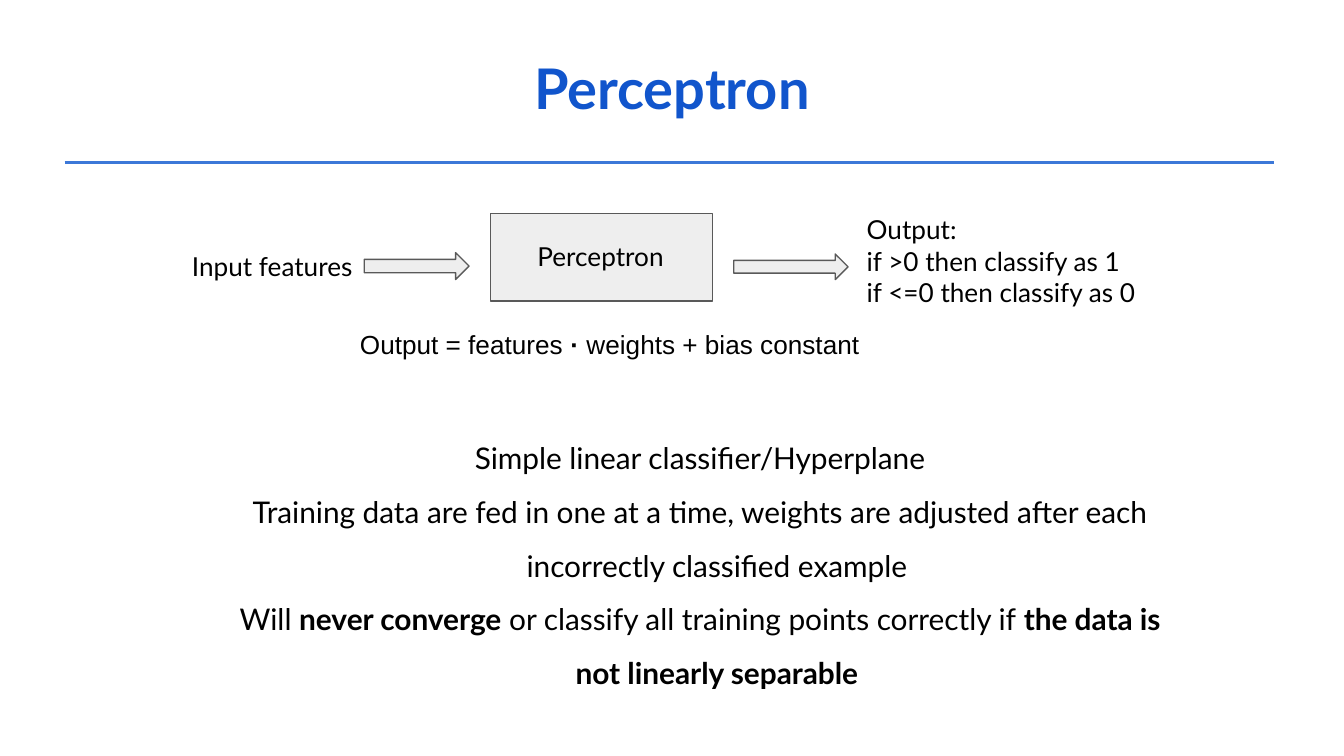
from dataclasses import dataclass

from pptx import Presentation
from pptx.dml.color import RGBColor
from pptx.enum.shapes import MSO_CONNECTOR, MSO_SHAPE
from pptx.enum.text import MSO_ANCHOR, PP_ALIGN
from pptx.oxml.ns import qn
from pptx.util import Inches, Pt

LEFT, CENTER = PP_ALIGN.LEFT, PP_ALIGN.CENTER
TOP, MIDDLE = MSO_ANCHOR.TOP, MSO_ANCHOR.MIDDLE
RECT, ARROW = MSO_SHAPE.RECTANGLE, MSO_SHAPE.RIGHT_ARROW
STRAIGHT = MSO_CONNECTOR.STRAIGHT


@dataclass(frozen=True)
class Theme:
    title: RGBColor = RGBColor(0x11, 0x55, 0xCC)
    rule: RGBColor = RGBColor(0x3C, 0x78, 0xD8)
    text: RGBColor = RGBColor(0, 0, 0)
    fill: RGBColor = RGBColor(0xEE, 0xEE, 0xEE)
    outline: RGBColor = RGBColor(0x59, 0x59, 0x59)
    font: str = "Lato"
    formula_font: str = "Arial"
    title_size: int = 30
    body_size: int = 16
    label_size: int = 14


THEME = Theme()


def add_text(s, box, paragraphs, size, color=THEME.text, font=THEME.font,
             align=LEFT, anchor=TOP):
    tb = s.shapes.add_textbox(*(Inches(v) for v in box))
    tf = tb.text_frame
    tf.word_wrap = True
    tf.vertical_anchor = anchor
    tf.margin_left = tf.margin_right = Inches(0.1)
    tf.margin_top = tf.margin_bottom = Inches(0.1)
    for i, runs in enumerate(paragraphs):
        p = tf.add_paragraph() if i else tf.paragraphs[0]
        p.alignment = align
        for text, bold in runs:
            r = p.add_run()
            r.text = text
            r.font.name = font
            r.font.size = Pt(size)
            r.font.bold = bold
            r.font.color.rgb = color
    return tf


def add_block(s, kind, box):
    sp = s.shapes.add_shape(kind, *(Inches(v) for v in box))
    sp.shadow.inherit = False
    sp.fill.solid()
    sp.fill.fore_color.rgb = THEME.fill
    sp.line.color.rgb = THEME.outline
    sp.line.width = Pt(0.75)


def add_header(s, x, y, w, h):
    add_text(s, (x, y, w, h), [[("Perceptron", True)]], THEME.title_size,
             THEME.title, align=CENTER, anchor=MIDDLE)
    rule = s.shapes.add_connector(STRAIGHT, Inches(x + 0.48), Inches(y + h),
                                  Inches(x + 9.48), Inches(y + h))
    rule.line.color.rgb = THEME.rule
    rule.line.width = Pt(1.5)
    sppr = rule._element.spPr
    sppr.append(sppr.makeelement(qn("a:effectLst"), {}))


def add_diagram(s, x, y):
    blocks = [
        (RECT, 2.32, 0.1, 1.65, 0.65),
        (ARROW, 1.38, 0.39, 0.78, 0.2),
        (ARROW, 4.13, 0.4, 0.85, 0.19),
    ]
    for kind, dx, dy, w, h in blocks:
        add_block(s, kind, (x + dx, y + dy, w, h))

    labels = [
        (0, 0.27, 1.54, 0.41, ["Input features"]),
        (2.57, 0.2, 1.2, 0.53, ["Perceptron"]),
        (5.02, 0, 2.82, 0.9, ["Output:", "if >0 then classify as 1",
                              "if <=0 then classify as 0"]),
    ]
    for dx, dy, w, h, lines in labels:
        add_text(s, (x + dx, y + dy, w, h),
                 [[(line, False)] for line in lines], THEME.label_size)

    formula = [("Output = features ", False), ("·", True),
               (" weights + bias constant", False)]
    add_text(s, (x + 1.25, y + 0.85, 4.4, 0.53), [formula],
             THEME.label_size, font=THEME.formula_font)


def add_points(s, x, y, w, h):
    points = [
        [("Simple linear classifier/Hyperplane", False)],
        [("Training data are fed in one at a time, weights are adjusted "
          "after each incorrectly classified example", False)],
        [("Will ", False), ("never converge", True),
         (" or classify all training points correctly if ", False),
         ("the data is not linearly separable", True)],
    ]
    tf = add_text(s, (x, y, w, h), points, THEME.body_size, align=CENTER)
    for p in tf.paragraphs:
        p.line_spacing = 1.5
        ppr = p._p.get_or_add_pPr()
        ppr.set("marL", str(Inches(0.5)))
        ppr.set("indent", str(Inches(-0.25)))


def main():
    prs = Presentation()
    prs.slide_width = Inches(10)
    prs.slide_height = prs.slide_width * 9 // 16
    s = prs.slides.add_slide(prs.slide_layouts[6])
    add_header(s, 0, 0.09, 10, 1.12)
    add_diagram(s, 1.33, 1.49)
    add_points(s, 1.25, 3.04, 7.67, 2.53)
    prs.save("out.pptx")


if __name__ == "__main__":
    main()
